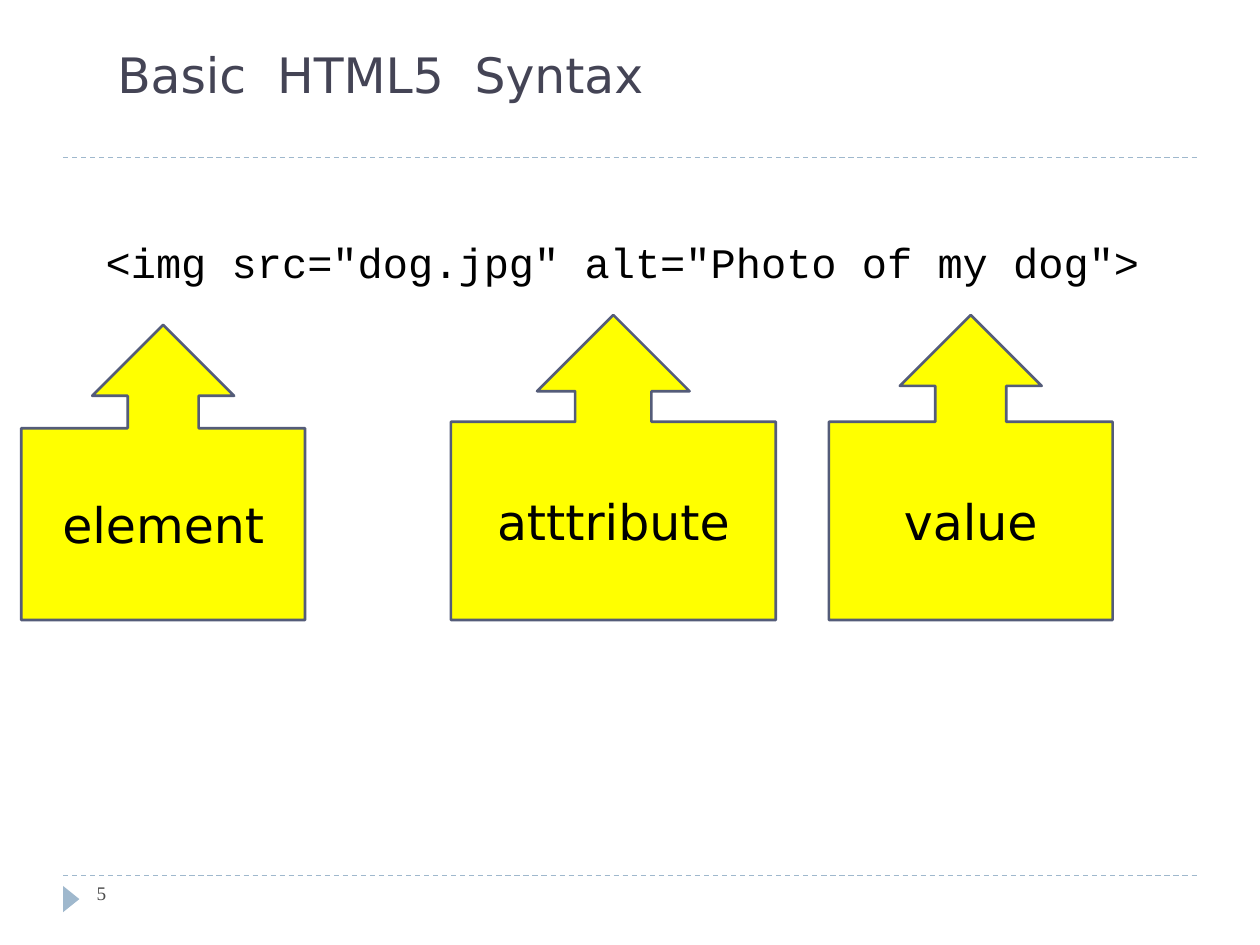
from dataclasses import dataclass

from lxml.etree import SubElement
from pptx import Presentation
from pptx.dml.color import RGBColor
from pptx.enum.dml import MSO_LINE
from pptx.enum.shapes import MSO_CONNECTOR, MSO_SHAPE
from pptx.enum.text import MSO_ANCHOR, MSO_AUTO_SIZE, PP_ALIGN
from pptx.oxml.ns import qn
from pptx.util import Cm, Pt

BLACK = RGBColor(0x00, 0x00, 0x00)
SLATE = RGBColor(0x44, 0x44, 0x55)
GREY = RGBColor(0x4D, 0x4D, 0x4D)
PALE_BLUE = RGBColor(0x9F, 0xB8, 0xCD)
YELLOW = RGBColor(0xFF, 0xFF, 0x00)
OUTLINE = RGBColor(0x54, 0x5C, 0x79)

SANS = "DejaVu Sans"
MARGIN, RIGHT = 1.27, 24.13
CALLOUT_BASE = 12.5


@dataclass
class Callout:
    label: str
    left: float
    top: float
    width: float


CALLOUTS = [
    Callout("element", 0.43, 6.55, 5.72),
    Callout("atttribute", 9.09, 6.35, 6.55),
    Callout("value", 16.71, 6.35, 5.72),
]


def write(box, text: str, *, font: str, size: float, color: RGBColor,
          align=PP_ALIGN.LEFT, anchor=MSO_ANCHOR.TOP, before: float = 0):
    """Put one formatted paragraph into a box and return the paragraph."""
    frame = box.text_frame
    frame.word_wrap = True
    frame.auto_size = MSO_AUTO_SIZE.NONE
    frame.vertical_anchor = anchor
    para = frame.paragraphs[0]
    para.alignment = align
    para.space_before = Pt(before)
    span = para.add_run()
    span.text = text
    span.font.name = font
    span.font.size = Pt(size)
    span.font.color.rgb = color
    return para


def add_rule(page, y: float) -> None:
    rule = page.shapes.add_connector(
        MSO_CONNECTOR.STRAIGHT, Cm(MARGIN), Cm(y), Cm(RIGHT), Cm(y))
    rule.line.color.rgb = PALE_BLUE
    rule.line.width = Pt(0.75)
    rule.line.dash_style = MSO_LINE.DASH
    SubElement(rule._element.spPr, qn("a:effectLst"))


def add_callout(page, callout: Callout) -> None:
    box = page.shapes.add_shape(
        MSO_SHAPE.UP_ARROW_CALLOUT, Cm(callout.left), Cm(callout.top),
        Cm(callout.width), Cm(CALLOUT_BASE - callout.top))
    box.shadow.inherit = False
    box.fill.solid()
    box.fill.fore_color.rgb = YELLOW
    box.line.color.rgb = OUTLINE
    box.line.width = Pt(1.5)
    write(box, callout.label, font=SANS, size=28, color=BLACK,
          align=PP_ALIGN.CENTER, anchor=MSO_ANCHOR.MIDDLE)


def main() -> None:
    deck = Presentation()
    deck.slide_width, deck.slide_height = Cm(25.4), Cm(19.05)
    page = deck.slides.add_slide(deck.slide_layouts[5])

    # Rules and page marker
    for y in (17.65, 3.18):
        add_rule(page, y)
    marker = page.shapes.add_shape(
        MSO_SHAPE.ISOSCELES_TRIANGLE, Cm(1.17), Cm(17.96), Cm(0.53), Cm(0.33))
    marker.rotation = 90
    marker.shadow.inherit = False
    marker.fill.solid()
    marker.fill.fore_color.rgb = PALE_BLUE
    marker.line.fill.background()

    # Title
    title = page.shapes.title
    title.left, title.top = Cm(2.11), Cm(0.64)
    title.width, title.height = Cm(22.4), Cm(1.57)
    write(title, "Basic  HTML5  Syntax", font=SANS, size=27.9, color=SLATE,
          anchor=MSO_ANCHOR.BOTTOM)

    # Code line
    code = page.shapes.add_textbox(Cm(1.7), Cm(4.65), Cm(22.43), Cm(8.69))
    para = write(code, '<img src="dog.jpg" alt="Photo of my dog">',
                 font="Courier New", size=24, color=BLACK, before=6)
    para._p.get_or_add_pPr().set("marL", str(Cm(0.18)))

    # Page number
    number = page.shapes.add_textbox(Cm(1.7), Cm(17.65), Cm(5.51), Cm(1.02))
    write(number, "5", font="Times New Roman", size=11, color=GREY)

    # Labels pointing at the code
    for callout in CALLOUTS:
        add_callout(page, callout)

    deck.save("out.pptx")


if __name__ == "__main__":
    main()
